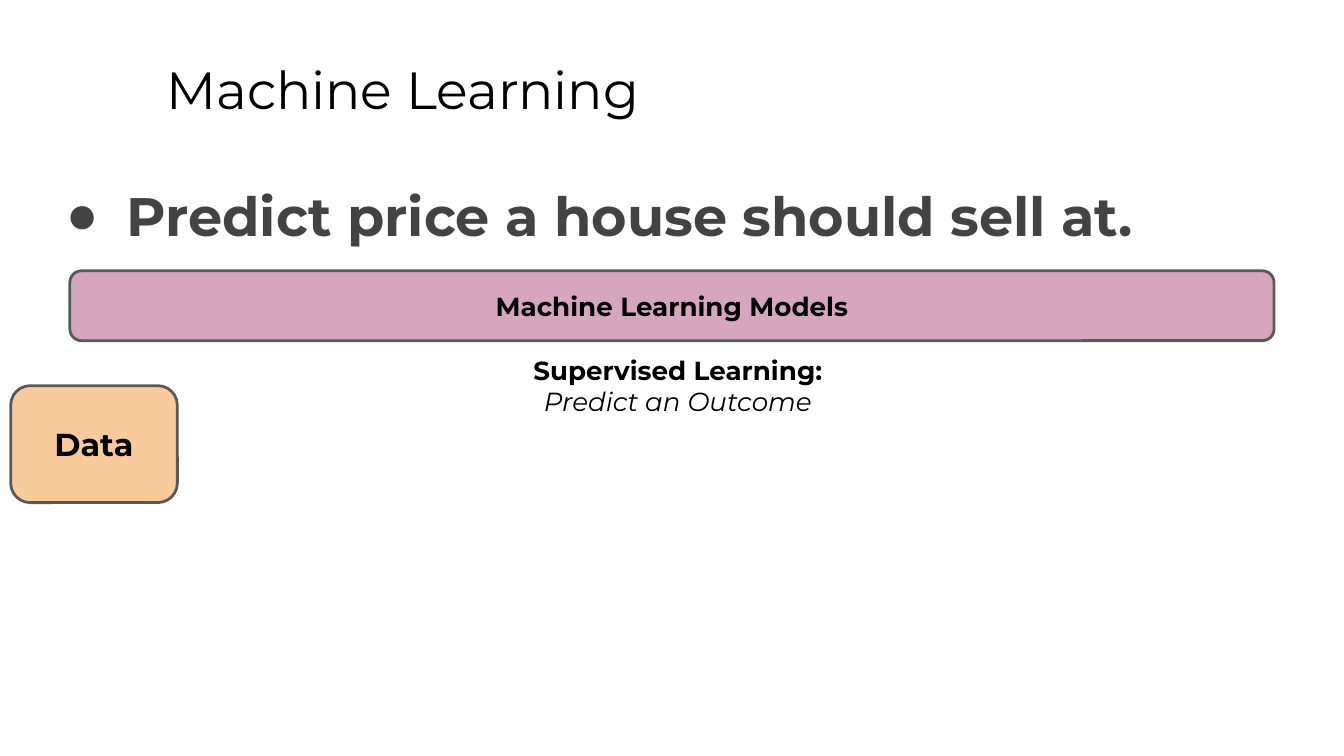
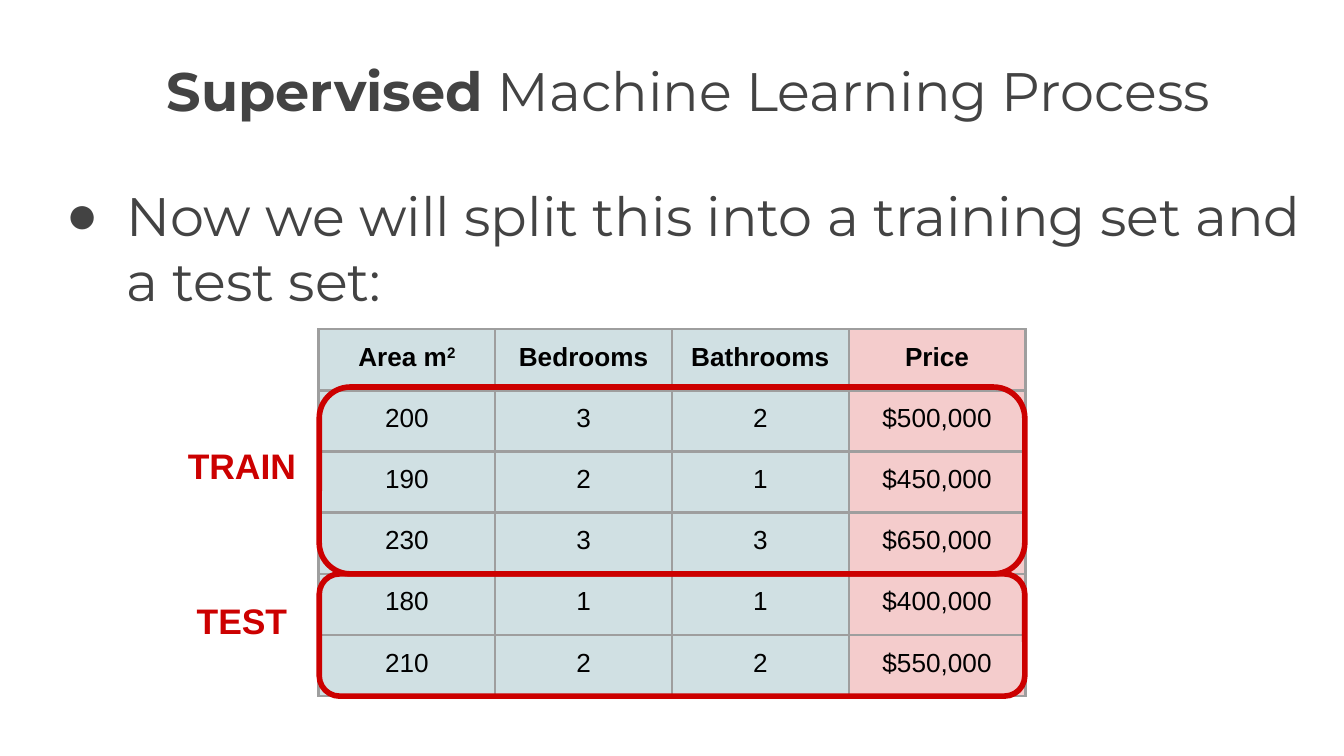
from lxml import etree
from pptx import Presentation
from pptx.dml.color import RGBColor
from pptx.enum.shapes import MSO_SHAPE
from pptx.enum.text import MSO_ANCHOR, MSO_AUTO_SIZE, PP_ALIGN
from pptx.oxml.ns import qn
from pptx.util import Pt

PX = 4572  # 200 px to the inch
LEFT, CENTER = PP_ALIGN.LEFT, PP_ALIGN.CENTER
TOP, MIDDLE = MSO_ANCHOR.TOP, MSO_ANCHOR.MIDDLE
ROUNDED = MSO_SHAPE.ROUNDED_RECTANGLE

COLORS = {
    "black": "000000",
    "text": "434343",
    "outline": "595959",
    "models": "D5A6BD",
    "data": "F9CB9C",
    "feature": "D0E0E3",
    "label": "F4CCCC",
    "grid": "9E9E9E",
    "split": "CC0000",
}
HEADING, PLAIN = "Montserrat", "Arial"
TITLE_BOX = (228, 65, 1704, 126)
INSET = 20

HOUSES = [
    ("Area m", "Bedrooms", "Bathrooms", "Price"),
    ("200", "3", "2", "$500,000"),
    ("190", "2", "1", "$450,000"),
    ("230", "3", "3", "$650,000"),
    ("180", "1", "1", "$400,000"),
    ("210", "2", "2", "$550,000"),
]
# name, top and height of the frame, top of the name
SPLITS = [("TRAIN", 576, 278, 641), ("TEST", 854, 182, 872)]


def rgb(name):
    return RGBColor.from_string(COLORS[name])


def emu(box):
    return [length * PX for length in box]


def move(shape, box):
    shape.left, shape.top, shape.width, shape.height = emu(box)


def write(frame, spans, size, color="black", font=HEADING, align=CENTER, anchor=TOP):
    """Fill a text frame with one paragraph of (text, style) spans; style is b, i or both."""
    frame.word_wrap = True
    frame.auto_size = MSO_AUTO_SIZE.NONE
    frame.vertical_anchor = anchor
    frame.margin_left = frame.margin_right = INSET * PX
    frame.margin_top = frame.margin_bottom = INSET * PX
    para = frame.paragraphs[0]
    para.alignment = align
    para.space_before = Pt(0)
    for text, style in spans:
        add_span(para, text, style, size, color, font)
    return para


def add_span(para, text, style, size, color, font):
    span = para.add_run()
    span.text = text
    span.font.name = font
    span.font.size = Pt(size)
    span.font.bold = "b" in style
    span.font.italic = "i" in style
    span.font.color.rgb = rgb(color)
    return span


def add_bullet(para, color):
    props = para._p.get_or_add_pPr()
    props.set("marL", str(100 * PX))
    props.set("indent", str(-90 * PX))
    tint = etree.SubElement(props, qn("a:buClr"))
    etree.SubElement(tint, qn("a:srgbClr"), val=COLORS[color])
    etree.SubElement(props, qn("a:buFont"), typeface=PLAIN)
    etree.SubElement(props, qn("a:buChar"), char="●")


def add_page(deck, title, title_size, title_color, bullet, body_height):
    """Add a slide with its title and its one bullet, each given as spans."""
    page = deck.slides.add_slide(deck.slide_layouts[1])
    heading, body = page.shapes.title, page.placeholders[1]
    move(heading, TITLE_BOX)
    write(heading.text_frame, title, title_size, title_color, align=LEFT)
    move(body, (68, 252, 1900, body_height))
    add_bullet(write(body.text_frame, bullet, 29, "text", align=LEFT), "text")
    return page


def add_rounded(page, box, line, width, fill=None):
    shape = page.shapes.add_shape(ROUNDED, *emu(box))
    shape.shadow.inherit = False
    shape.line.color.rgb = rgb(line)
    shape.line.width = Pt(width)
    if fill:
        shape.fill.solid()
        shape.fill.fore_color.rgb = rgb(fill)
    else:
        shape.fill.background()
    return shape


def add_block(page, box, text, size, fill):
    shape = add_rounded(page, box, "outline", 1.5, fill)
    write(shape.text_frame, [(text, "b")], size, anchor=MIDDLE)


def add_text(page, box, spans, size, **style):
    write(page.shapes.add_textbox(*emu(box)).text_frame, spans, size, **style)


def add_borders(cell, color, width):
    props = cell._tc.get_or_add_tcPr()
    for side in ("lnL", "lnR", "lnT", "lnB"):
        line = etree.SubElement(props, qn(f"a:{side}"), w=str(Pt(width)))
        fill = etree.SubElement(line, qn("a:solidFill"))
        etree.SubElement(fill, qn("a:srgbClr"), val=COLORS[color])


def add_house_table(page, left, top, column, row):
    rows, columns = len(HOUSES), len(HOUSES[0])
    box = emu((left, top, column * columns, row * rows))
    table = page.shapes.add_table(rows, columns, *box).table
    for r, values in enumerate(HOUSES):
        for c, value in enumerate(values):
            style = "b" if r == 0 else ""
            fill = "label" if c == columns - 1 else "feature"
            write_cell(table.cell(r, c), value, style, fill)
    area = table.cell(0, 0).text_frame.paragraphs[0]
    square = add_span(area, "2", "b", 14, "black", PLAIN)
    square._r.get_or_add_rPr().set("baseline", "30000")


def write_cell(cell, value, style, fill):
    add_borders(cell, "grid", 1.5)
    cell.fill.solid()
    cell.fill.fore_color.rgb = rgb(fill)
    cell.margin_left = cell.margin_right = INSET * PX
    cell.margin_top = cell.margin_bottom = INSET * PX
    para = cell.text_frame.paragraphs[0]
    para.alignment = CENTER
    add_span(para, value, style, 14, "black", PLAIN)


def add_models_page(deck):
    page = add_page(deck, [("Machine Learning", "")], 28, "black",
                    [("Predict price a house should sell at.", "b")], 128)
    add_block(page, (104, 403, 1792, 104), "Machine Learning Models", 14, "models")
    add_text(page, (702, 507, 614, 60),
             [("Supervised Learning: ", "b"), ("Predict an Outcome", "i")], 14)
    add_block(page, (16, 574, 248, 174), "Data", 17, "data")


def add_split_page(deck):
    page = add_page(deck, [("Supervised", "b"), (" Machine Learning Process", "")], 29, "text",
                    [("Now we will split this into a training set and a test set:", "")], 748)
    add_house_table(page, 474, 490, 263, 91)
    for name, top, height, name_top in SPLITS:
        add_rounded(page, (475, top, 1050, height), "split", 3)
        add_text(page, (214, name_top, 292, 148), [(name, "b")], 19, color="split", font=PLAIN)


def main():
    deck = Presentation()
    deck.slide_width, deck.slide_height = 2000 * PX, 1125 * PX
    add_models_page(deck)
    add_split_page(deck)
    deck.save("out.pptx")


if __name__ == "__main__":
    main()
